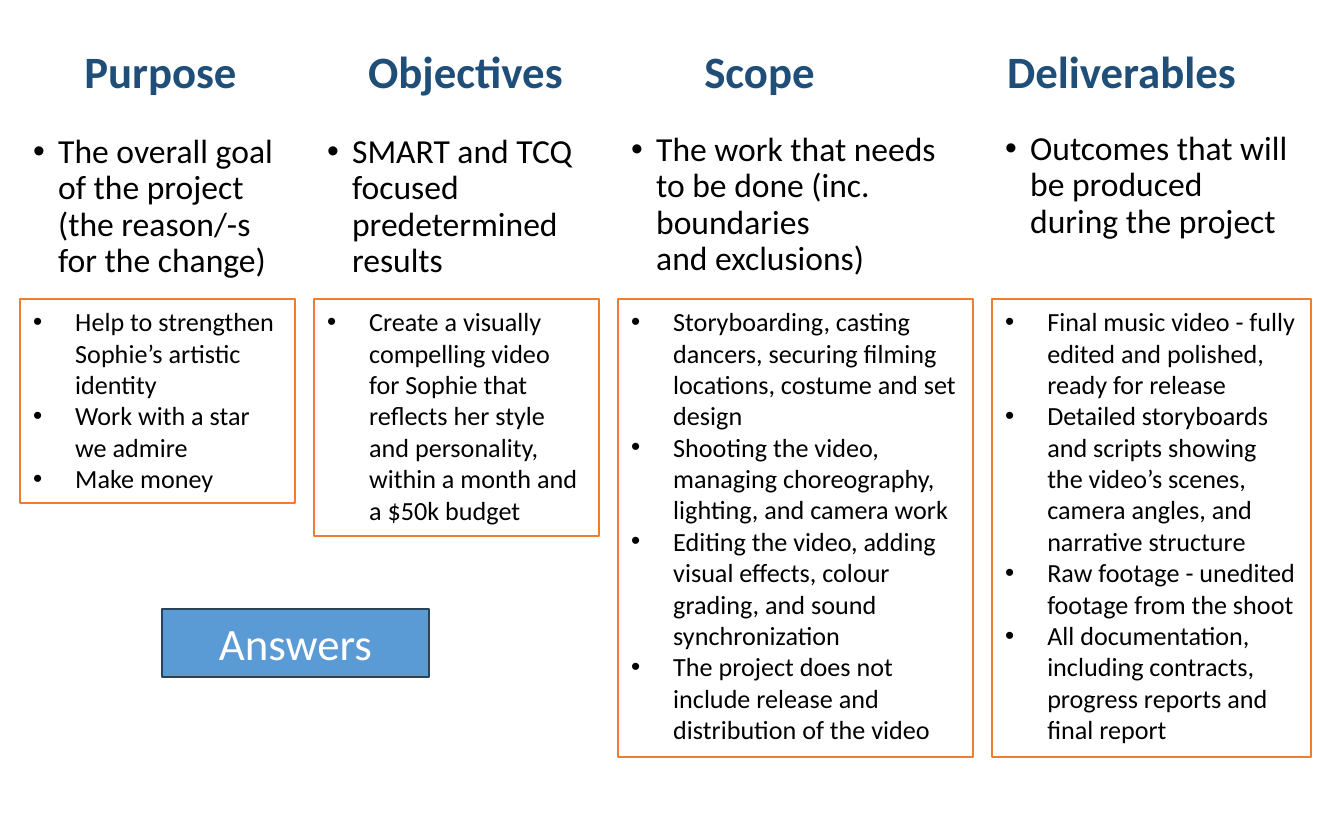
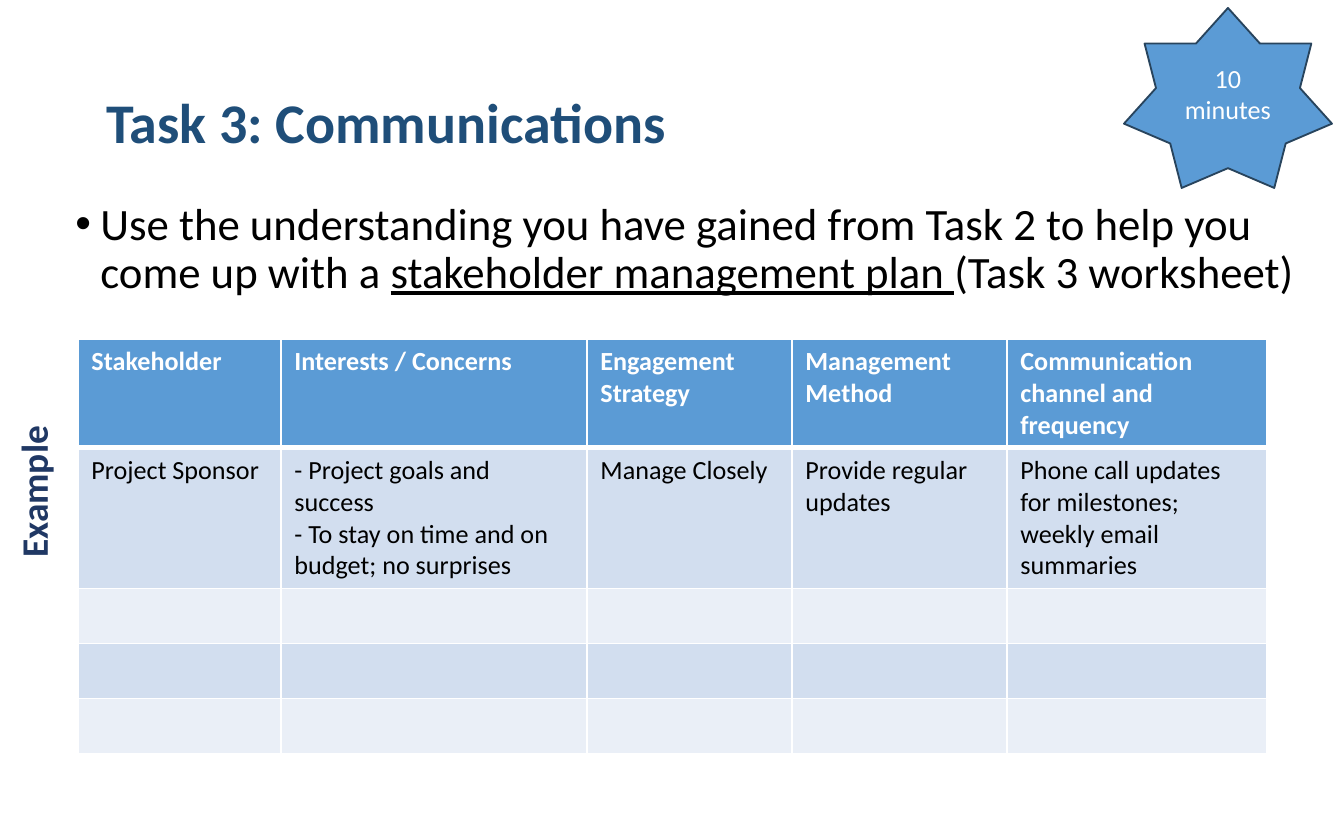
"""Builds two project-definition slides."""
import lxml.etree
import pptx
import pptx.dml.color
import pptx.enum.shapes
import pptx.enum.text
import pptx.oxml.ns
import pptx.util

ALIGN = pptx.enum.text.PP_ALIGN
ANCHOR = pptx.enum.text.MSO_ANCHOR
FIT = pptx.enum.text.MSO_AUTO_SIZE
SHAPE = pptx.enum.shapes.MSO_SHAPE

HUES = {
    "head": "1F4E79", "side": "203864", "ink": "000000", "white": "FFFFFF",
    "blue": "5B9BD5", "edge": "28445D", "frame": "ED7D31",
    "dark": "D2DEEF", "light": "EAEFF7",
}
INTRO = {"line_spacing": 0.9, "space_before": pptx.util.Pt(0)}
MID = {"alignment": ALIGN.CENTER}
GAP = 19
TABS = (127, 432, 726, 1088)
COLS = [
    ("Purpose", 275, 128, 204,
     ("The overall goal of the project (the reason/-s for the change)",),
     ["Help to strengthen Sophie’s artistic identity",
      "Work with a star we admire",
      "Make money"]),
    ("Objectives", 285, 128, 237,
     ("SMART and TCQ focused predetermined results",),
     ["Create a visually compelling video for Sophie that reflects her style "
      "and personality, within a month and a $50k budget"]),
    ("Scope", 355, 126, 458,
     ("The work that needs to be done (inc. boundaries ", "\v",
      "and exclusions)"),
     ["Storyboarding, casting dancers, securing filming locations, costume "
      "and set design",
      "Shooting the video, managing choreography, lighting, and camera work",
      "Editing the video, adding visual effects, colour grading, and sound "
      "synchronization",
      "The project does not include release and distribution of the video"]),
    ("Deliverables", 319, 125, 458,
     ("Outcomes that will be produced during the project",),
     ["Final music video - fully edited and polished, ready for release",
      "Detailed storyboards and scripts showing the video’s scenes, camera "
      "angles, and narrative structure",
      "Raw footage - unedited footage from the shoot",
      "All documentation, including contracts, progress reports and final "
      "report"]),
]
WIDTHS = (203, 306, 205, 215, 260)
ROWS = [
    [["Stakeholder"], ["Interests / Concerns"], ["Engagement Strategy"],
     ["Management Method"], ["Communication channel and frequency"]],
    [["Project Sponsor"],
     ["- Project goals and success",
      "- To stay on time and on budget; no surprises"],
     ["Manage Closely"], ["Provide regular updates"],
     ["Phone call updates for milestones; weekly email summaries"]],
] + [[[]] * 5] * 3


def px(num):
    return int(num * 914400 / 134.4)


def hue(key):
    return pptx.dml.color.RGBColor.from_string(HUES[key])


def put(thing, vals):
    for key, val in vals.items():
        setattr(thing, key, val)


def node(top, tag, **atts):
    return lxml.etree.SubElement(top, pptx.oxml.ns.qn("a:" + tag), atts)


class Deck:
    """Holds the style and the current slide."""

    def __init__(self, wide, high):
        self.show = pptx.Presentation()
        put(self.show, {"slide_width": px(wide), "slide_height": px(high)})
        self.slide = None

    def page(self, num):
        self.slide = self.show.slides.add_slide(self.show.slide_layouts[num])

    def words(self, frame, paras, size, color, bold=False, mark=0, **form):
        for num, para in enumerate(paras):
            line = frame.paragraphs[0] if num == 0 else frame.add_paragraph()
            put(line, form)
            if mark:
                props = line._p.get_or_add_pPr()
                props.set("marL", str(px(mark)))
                props.set("indent", str(-px(mark)))
                node(props, "buFont", typeface="Arial")
                node(props, "buChar", char="•")
            for part in (para,) if isinstance(para, str) else para:
                if part == "\v":
                    line.add_line_break()
                    continue
                run = line.add_run()
                run.text = part
                put(run.font, {"name": "Calibri", "bold": bold,
                               "size": pptx.util.Pt(size)})
                run.font.color.rgb = hue(color)

    def holder(self, num, box, anchor):
        item = self.slide.placeholders[num]
        put(item, dict(zip(("left", "top", "width", "height"), map(px, box))))
        put(item.text_frame, {"auto_size": FIT.NONE, "word_wrap": True,
                              "vertical_anchor": anchor})
        return item.text_frame

    def title(self, text, box, size, tabs=()):
        frame = self.holder(0, box, ANCHOR.MIDDLE)
        self.words(frame, [text], size, "head", True,
                   alignment=ALIGN.LEFT, line_spacing=0.9)
        if tabs:
            stops = node(frame.paragraphs[0]._p.get_or_add_pPr(), "tabLst")
            for stop in tabs:
                node(stops, "tab", pos=str(px(stop)), algn="ctr")

    def body(self, parts, box, size, under):
        frame = self.holder(1, box, ANCHOR.TOP)
        self.words(frame, [parts], size, "ink", mark=25, **INTRO)
        frame.paragraphs[0].runs[under].font.underline = True

    def text(self, paras, box, size, color, turn=0, **form):
        item = self.slide.shapes.add_textbox(*map(px, box))
        item.rotation = turn
        item.text_frame.word_wrap = True
        self.words(item.text_frame, paras, size, color, **form)

    def shape(self, kind, paras, box, fill, edge, size, color,
              anchor=ANCHOR.TOP, fit=FIT.SHAPE_TO_FIT_TEXT, **form):
        item = self.slide.shapes.add_shape(kind, *map(px, box))
        item.shadow.inherit = False
        item.fill.solid()
        item.fill.fore_color.rgb = hue(fill)
        item.line.color.rgb = hue(edge)
        item.line.width = pptx.util.Pt(1)
        put(item.text_frame, {"word_wrap": True, "vertical_anchor": anchor,
                              "auto_size": fit})
        self.words(item.text_frame, paras, size, color, **form)

    def cell(self, cell, paras, row):
        props = cell._tc.get_or_add_tcPr()
        for side in "LRTB":
            thick = (row, side) in ((0, "B"), (1, "T"))
            line = node(props, "ln" + side, w="38100" if thick else "12700")
            node(node(line, "solidFill"), "srgbClr", val=HUES["white"])
        cell.fill.solid()
        fill = "blue" if row == 0 else "dark" if row % 2 else "light"
        cell.fill.fore_color.rgb = hue(fill)
        self.words(cell.text_frame, paras, 14, "ink" if row else "white",
                   row == 0)

    def table(self, rows, widths, left, top, high):
        grid = self.slide.shapes.add_table(
            len(rows), len(widths), px(left), px(top),
            px(sum(widths)), px(high * len(rows))).table
        for col, wide in zip(grid.columns, widths):
            col.width = px(wide)
        for num, row in enumerate(rows):
            for col, paras in enumerate(row):
                self.cell(grid.cell(num, col), paras, num)


def terms(deck):
    deck.page(5)
    heads = "".join("\t" + col[0] for col in COLS)
    deck.title(heads, (20, 22, 1292, 103), 24, TABS)
    left = 20
    for _, wide, top, high, intro, items in COLS:
        deck.text([intro], (left, top, wide, 172), 18, "ink", mark=25, **INTRO)
        deck.shape(SHAPE.RECTANGLE, items, (left, 299, wide, high), "white",
                   "frame", 14, "ink", mark=42, alignment=ALIGN.LEFT)
        left += wide + GAP
    deck.shape(SHAPE.RECTANGLE, ["Answers"], (162, 609, 267, 68), "blue",
               "edge", 24, "white", **MID)


def task(deck):
    deck.page(1)
    deck.title("Task 3: Communications", (93, 44, 1159, 163), 30)
    deck.body(("Use the understanding you have gained from Task 2 to help you "
               "come up with a ", "stakeholder management plan ",
               "(Task 3 worksheet)"), (62, 195, 1250, 500), 24, 1)
    deck.table(ROWS, WIDTHS, 78, 339, 55)
    deck.shape(SHAPE.STAR_7_POINT, ["10 minutes"], (1124, 8, 208, 180), "blue",
               "edge", 14, "white", ANCHOR.MIDDLE, FIT.NONE, **MID)
    deck.text(["Example"], (-59, 449, 185, 59), 20, "side", 270, bold=True)


def main():
    deck = Deck(1344, 840)
    terms(deck)
    task(deck)
    deck.show.save("out.pptx")


if __name__ == "__main__":
    main()
